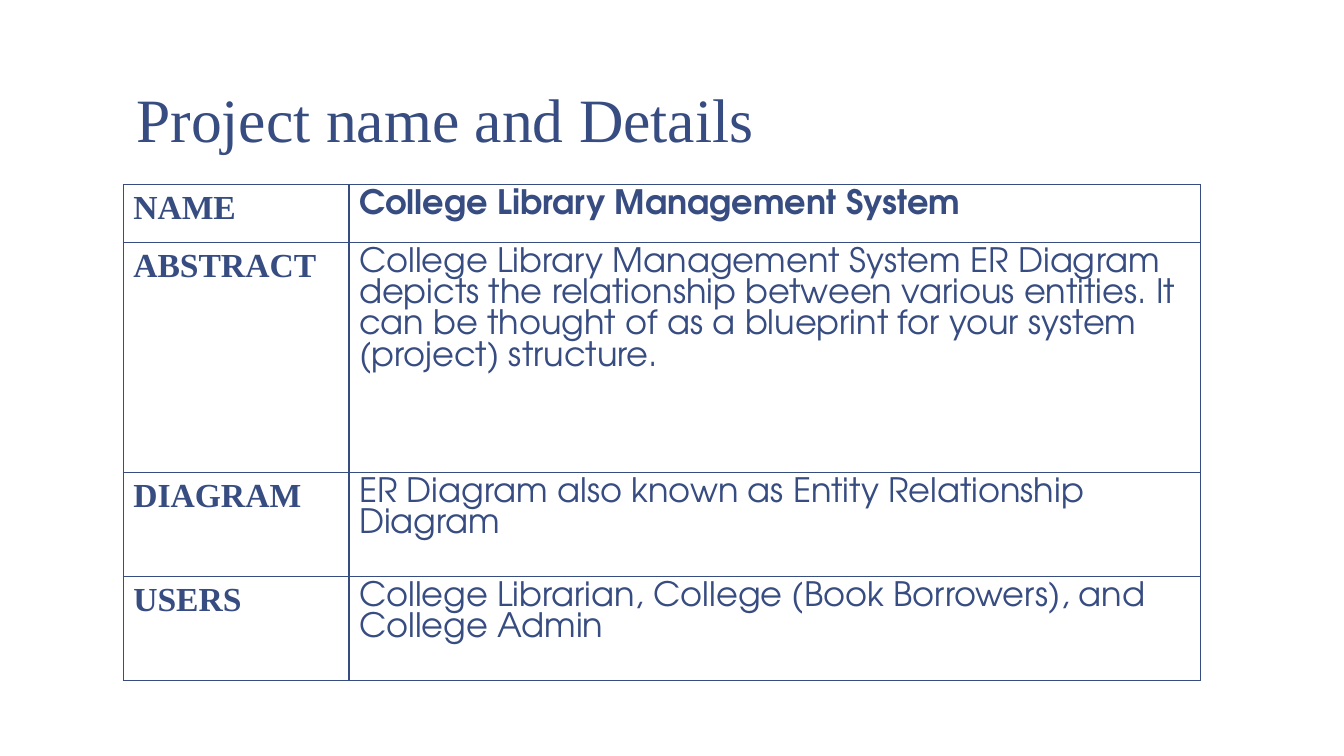
from lxml.etree import SubElement
from pptx import Presentation
from pptx.dml.color import RGBColor
from pptx.enum.text import MSO_ANCHOR, MSO_AUTO_SIZE, PP_ALIGN
from pptx.oxml.ns import qn
from pptx.util import Pt

NAVY = "374C81"
LABEL_FONT = "Times New Roman"
DETAIL_FONT = "TeX Gyre Adventor"
COLUMN_WIDTHS = [161.3, 608.4]
ROW_HEIGHTS = [41.4, 164.3, 74.3, 74.3]
DETAILS = [
    ("NAME", "College Library Management System"),
    ("ABSTRACT", "College Library Management System ER Diagram depicts the "
     "relationship between various entities. It can be thought of as a "
     "blueprint for your system (project) structure."),
    ("DIAGRAM", "ER Diagram also known as Entity Relationship Diagram"),
    ("USERS", "College Librarian, College (Book Borrowers), and College Admin"),
]


def color(value):
    return RGBColor.from_string(value)


def write_text(frame, text, font=LABEL_FONT, size=24, bold=False, spacing=None):
    paragraph = frame.paragraphs[0]
    paragraph.alignment = PP_ALIGN.LEFT
    paragraph.line_spacing = spacing
    run = paragraph.add_run()
    run.text = text
    run.font.name = font
    run.font.size = Pt(size)
    run.font.bold = bold
    run.font.color.rgb = color(NAVY)


def add_borders(cell, value=NAVY, width=1):
    properties = cell._tc.get_or_add_tcPr()
    for index, side in enumerate(("lnL", "lnR", "lnT", "lnB")):
        line = properties.makeelement(qn(f"a:{side}"), {"w": str(Pt(width))})
        properties.insert(index, line)
        fill = SubElement(line, qn("a:solidFill"))
        SubElement(fill, qn("a:srgbClr"), val=value)


def place_title(slide, left, top, width, height):
    title = slide.shapes.title
    title.left, title.top = Pt(left), Pt(top)
    title.width, title.height = Pt(width), Pt(height)
    frame = title.text_frame
    frame.word_wrap = True
    frame.auto_size = MSO_AUTO_SIZE.NONE
    frame.vertical_anchor = MSO_ANCHOR.BOTTOM
    frame.margin_left = frame.margin_right = Pt(9.36)
    frame.margin_top = frame.margin_bottom = Pt(5.04)
    write_text(frame, "Project name and Details", size=44, spacing=0.85)


def add_details_table(slide, left, top, width, height):
    table = slide.shapes.add_table(
        len(DETAILS), len(COLUMN_WIDTHS), Pt(left), Pt(top), Pt(width), Pt(height)
    ).table
    table.first_row = False
    table.horz_banding = False
    for column, column_width in zip(table.columns, COLUMN_WIDTHS):
        column.width = Pt(column_width)
    for row, row_height, (label, detail) in zip(table.rows, ROW_HEIGHTS, DETAILS):
        row.height = Pt(row_height)
        label_cell, detail_cell = row.cells
        write_text(label_cell.text_frame, label, bold=True)
        write_text(detail_cell.text_frame, detail, font=DETAIL_FONT,
                   bold=label == "NAME")
        for cell in (label_cell, detail_cell):
            cell.fill.background()
            add_borders(cell)


def main():
    presentation = Presentation()
    presentation.slide_width, presentation.slide_height = Pt(960), Pt(540)
    slide = presentation.slides.add_slide(presentation.slide_layouts[5])
    slide.background.fill.solid()
    slide.background.fill.fore_color.rgb = color("FFFFFF")
    place_title(slide, 88, 6, 800, 110)
    add_details_table(slide, 88, 131.7, sum(COLUMN_WIDTHS), sum(ROW_HEIGHTS))
    presentation.save("out.pptx")


if __name__ == "__main__":
    main()
